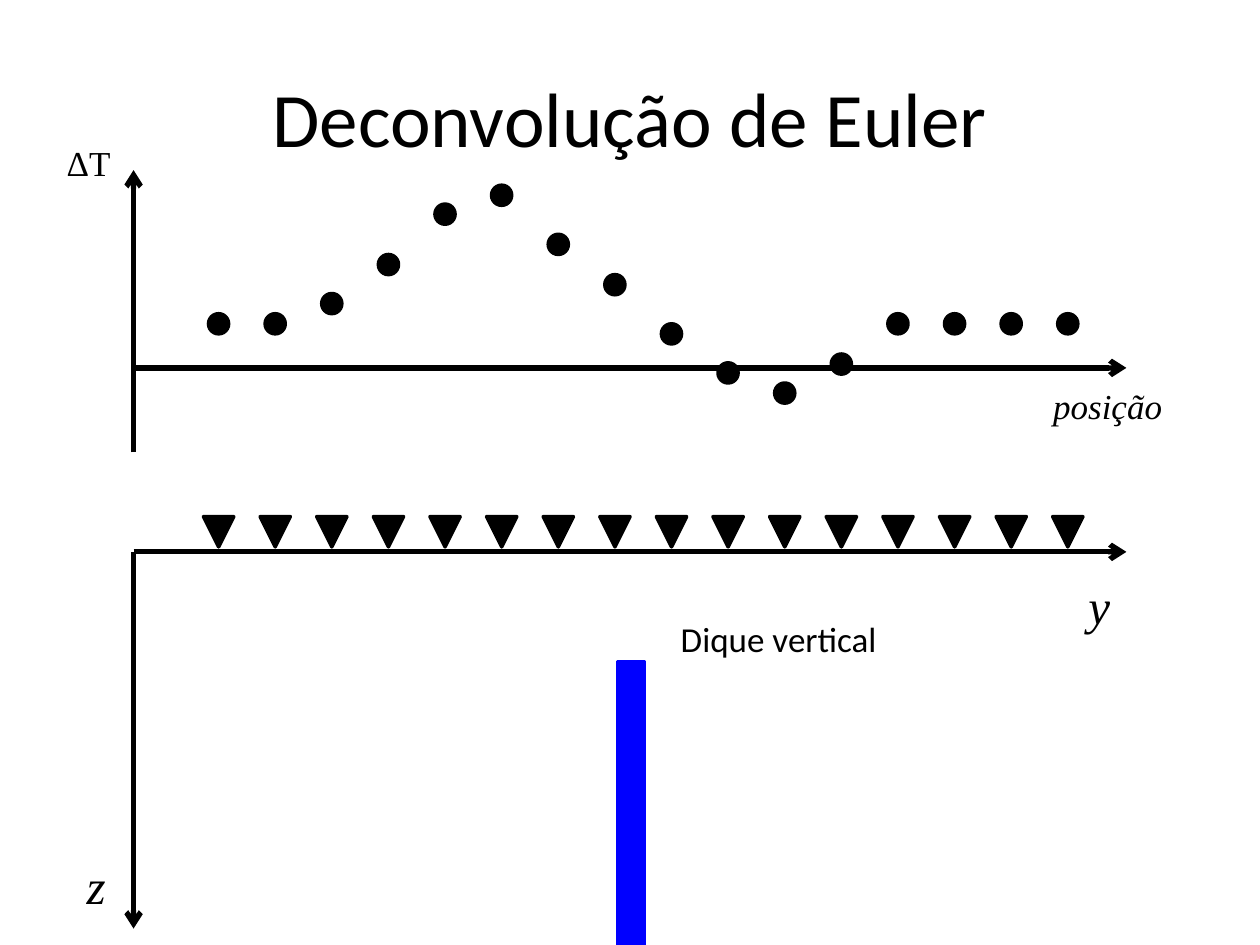
import pptx
import pptx.util
import pptx.dml.color
import pptx.enum.shapes
import pptx.enum.text
import pptx.oxml.ns
from lxml import etree

Inches, Pt = pptx.util.Inches, pptx.util.Pt
SHAPE = pptx.enum.shapes.MSO_SHAPE
ALIGN = pptx.enum.text.PP_ALIGN
BLACK = pptx.dml.color.RGBColor(0, 0, 0)
BLUE = pptx.dml.color.RGBColor(0, 0, 0xFF)
SERIF, SANS = "Times New Roman", "Calibri"

TITLE = "Deconvolução de Euler"
# Top of each measured dot, one per station along the profile
DOT_TOPS = [2.49, 2.49, 2.33, 2.02, 1.62, 1.47, 1.86, 2.18,
            2.57, 2.88, 3.04, 2.81, 2.49, 2.49, 2.49, 2.49]
FIRST_STATION, LAST_STATION = 1.735, 8.475
DOT, SENSOR = 0.16, 0.24
SENSOR_TOP = 4.1

AXIS_LEFT, AXIS_RIGHT = 1.06, 8.94
ANOMALY_ZERO, GROUND = 2.92, 4.38
AXES = [  # start, arrow end
    ((AXIS_LEFT, GROUND), (AXIS_RIGHT, GROUND)),
    ((AXIS_LEFT, GROUND), (AXIS_LEFT, 7.37)),
    ((AXIS_LEFT, 3.59), (AXIS_LEFT, 1.35)),
    ((AXIS_LEFT, ANOMALY_ZERO), (AXIS_RIGHT, ANOMALY_ZERO)),
]
LABELS = [  # text, box, format
    ("z", (0.59, 6.74, 0.36, 0.57), dict(size=28, italic=True)),
    ("y", (8.54, 4.52, 0.38, 0.57), dict(size=28, italic=True)),
    ("ΔT", (0.43, 1.07, 0.55, 0.44), dict()),
    ("posição", (8.26, 3, 1.07, 0.44), dict(italic=True)),
    ("Dique vertical", (4.92, 4.85, 2.52, 0.44),
     dict(font=SANS, align=ALIGN.CENTER, wrap=True)),
]
DIKE = (4.9, 5.25, 0.21, 2.31)


def write(tf, text, size=20, font=SERIF, italic=None, align=None, wrap=False):
    tf.word_wrap = wrap
    p = tf.paragraphs[0]
    p.alignment = align
    r = p.add_run()
    r.text = text
    r.font.size = Pt(size)
    r.font.name = font
    r.font.italic = italic
    r.font.color.rgb = BLACK


def add_label(slide, text, box, **fmt):
    tf = slide.shapes.add_textbox(*map(Inches, box)).text_frame
    write(tf, text, **fmt)
    tf.auto_size = pptx.enum.text.MSO_AUTO_SIZE.SHAPE_TO_FIT_TEXT


def add_axis(slide, start, end):
    line = slide.shapes.add_connector(
        pptx.enum.shapes.MSO_CONNECTOR.STRAIGHT, *map(Inches, start + end))
    line.line.color.rgb = BLACK
    line.line.width = Pt(3)
    qn = pptx.oxml.ns.qn
    sp_pr = line._element.spPr
    etree.SubElement(sp_pr.find(qn("a:ln")), qn("a:tailEnd"), type="arrow")
    etree.SubElement(sp_pr, qn("a:effectLst"))


def add_solid(slide, kind, box, color=BLACK):
    sp = slide.shapes.add_shape(kind, *map(Inches, box))
    sp.shadow.inherit = False
    sp.fill.solid()
    sp.fill.fore_color.rgb = color
    sp.line.color.rgb = color
    sp.line.width = Pt(2)
    return sp


def main():
    prs = pptx.Presentation()
    prs.slide_width, prs.slide_height = Inches(10), Inches(7.5)
    slide = prs.slides.add_slide(prs.slide_layouts[5])

    title = slide.shapes.title
    title.left, title.top, title.width, title.height = map(Inches, (0.5, 0.3, 9, 1.25))
    title.text_frame.vertical_anchor = pptx.enum.text.MSO_ANCHOR.MIDDLE
    write(title.text_frame, TITLE, size=44, font=SANS, align=ALIGN.CENTER, wrap=True)

    for start, end in AXES:
        add_axis(slide, start, end)

    pitch = (LAST_STATION - FIRST_STATION) / (len(DOT_TOPS) - 1)
    for i, top in enumerate(DOT_TOPS):
        x = FIRST_STATION + i * pitch
        sensor = add_solid(slide, SHAPE.ISOSCELES_TRIANGLE,
                           (x - SENSOR / 2, SENSOR_TOP, SENSOR, SENSOR))
        sensor.rotation = 180
        add_solid(slide, SHAPE.OVAL, (x - DOT / 2, top, DOT, DOT))

    for text, box, fmt in LABELS:
        add_label(slide, text, box, **fmt)
    add_solid(slide, SHAPE.RECTANGLE, DIKE, BLUE)

    prs.save("out.pptx")


if __name__ == "__main__":
    main()
